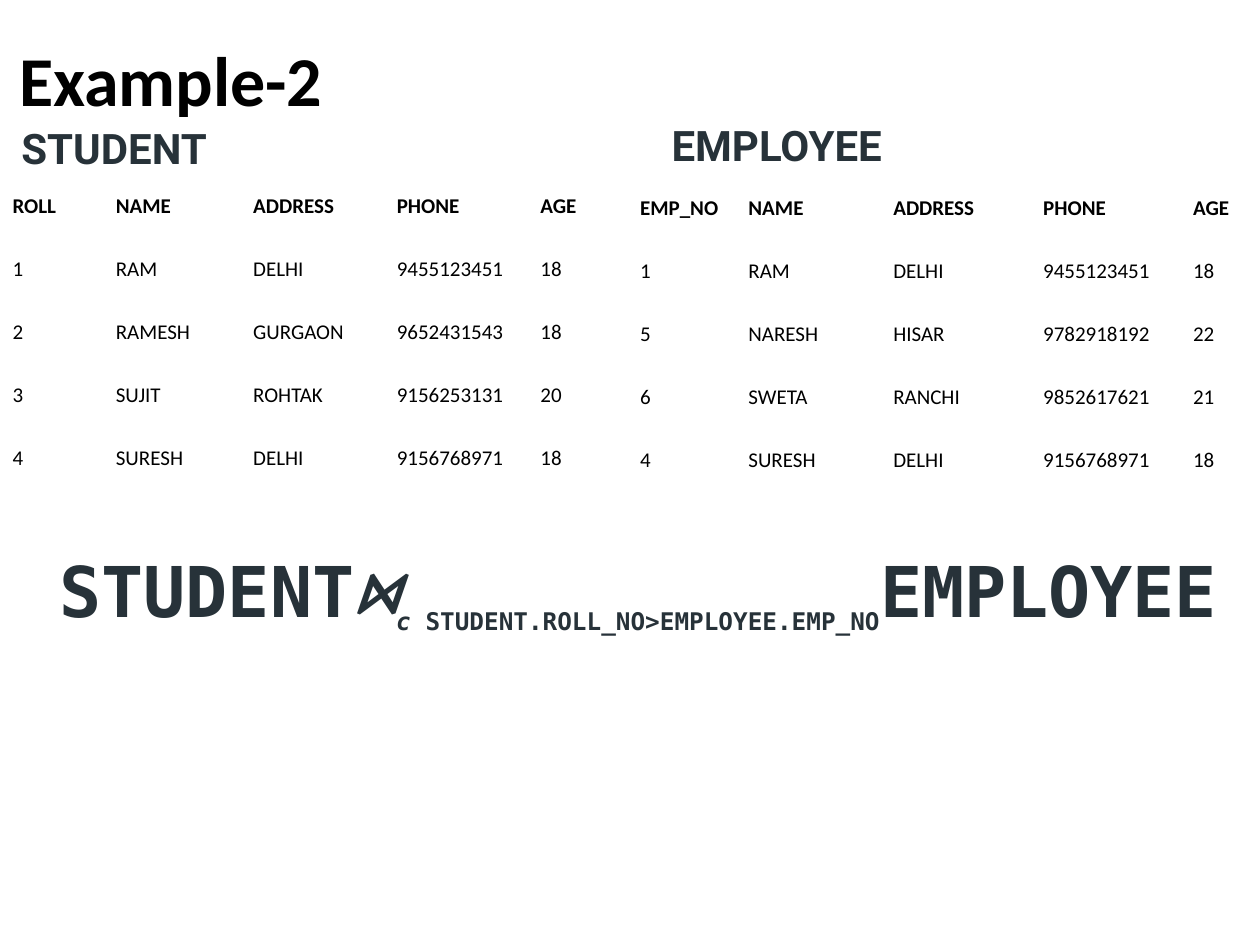
from pptx import Presentation
from pptx.dml.color import RGBColor
from pptx.enum.shapes import MSO_SHAPE
from pptx.enum.text import MSO_ANCHOR, PP_ALIGN
from pptx.util import Inches, Pt

BLACK, SLATE, WHITE = "000000", "273239", "FFFFFF"
ROW_HEIGHT = 0.5

# name, heading box, heading anchor, table corner, column widths, rows
RELATIONS = [
    ("STUDENT", (0.17, 0.97, 1.89, 0.4), MSO_ANCHOR.MIDDLE, (0, 1.39),
     (0.82, 1.09, 1.14, 1.14, 0.57), [
        ("ROLL", "NAME", "ADDRESS", "PHONE", "AGE"),
        ("1", "RAM", "DELHI", "9455123451", "18"),
        ("2", "RAMESH", "GURGAON", "9652431543", "18"),
        ("3", "SUJIT", "ROHTAK", "9156253131", "20"),
        ("4", "SURESH", "DELHI", "9156768971", "18"),
    ]),
    ("EMPLOYEE", (5.33, 0.95, 2.58, 0.6), MSO_ANCHOR.TOP, (4.98, 1.4),
     (0.86, 1.15, 1.19, 1.19, 0.6), [
        ("EMP_NO", "NAME", "ADDRESS", "PHONE", "AGE"),
        ("1", "RAM", "DELHI", "9455123451", "18"),
        ("5", "NARESH", "HISAR", "9782918192", "22"),
        ("6", "SWETA", "RANCHI", "9852617621", "21"),
        ("4", "SURESH", "DELHI", "9156768971", "18"),
    ]),
]

# text, size, italic, subscript
JOIN_EXPRESSION = [
    ("STUDENT", 40, False, False),
    ("⋈", 40, True, False),
    ("c ", 24, True, True),
    ("STUDENT.ROLL_NO>EMPLOYEE.EMP_NO", 24, False, True),
    ("EMPLOYEE", 40, False, False),
]


def color(value):
    return RGBColor.from_string(value)


def set_font(font, name, size, value, bold=True):
    font.name, font.size, font.bold = name, Pt(size), bold
    font.color.rgb = color(value)


def fill_white(item):
    item.fill.solid()
    item.fill.fore_color.rgb = color(WHITE)


def remove_margins(frame):
    frame.margin_left = frame.margin_right = 0
    frame.margin_top = frame.margin_bottom = 0


def add_centred_box(page, place, wrap):
    """Add a text box and return its frame and its centred paragraph."""
    frame = page.shapes.add_textbox(*map(Inches, place)).text_frame
    frame.word_wrap = wrap
    frame.vertical_anchor = MSO_ANCHOR.MIDDLE
    para = frame.paragraphs[0]
    para.alignment = PP_ALIGN.CENTER
    return frame, para


def add_relation_table(page, corner, widths, rows):
    size = (sum(widths), ROW_HEIGHT * len(rows))
    table = page.shapes.add_table(
        len(rows), len(widths), *map(Inches, corner + size)).table
    for column, width in zip(table.columns, widths):
        column.width = Inches(width)
    for row_index, values in enumerate(rows):
        for column_index, value in enumerate(values):
            cell = table.cell(row_index, column_index)
            fill_white(cell)
            cell.vertical_anchor = MSO_ANCHOR.MIDDLE
            para = cell.text_frame.paragraphs[0]
            para.text = value
            set_font(para.font, "Calibri", 12, BLACK, bold=row_index == 0)


def add_heading(page, name, place, anchor):
    box = page.shapes.add_shape(MSO_SHAPE.RECTANGLE, *map(Inches, place))
    box.shadow.inherit = False
    fill_white(box)
    box.line.fill.background()
    frame = box.text_frame
    remove_margins(frame)
    frame.vertical_anchor = anchor
    para = frame.paragraphs[0]
    para.text = name
    para.alignment = PP_ALIGN.LEFT
    set_font(para.font, "Roboto", 24, SLATE)


def add_join_expression(page):
    frame, para = add_centred_box(page, (0.47, 4.35, 9.19, 0.69), wrap=False)
    remove_margins(frame)
    for text, size, italic, subscript in JOIN_EXPRESSION:
        span = para.add_run()
        span.text = text
        set_font(span.font, "DejaVu Sans Mono", size, SLATE)
        span.font.italic = italic
        if subscript:
            span.font._element.set("baseline", "-30000")
    space = para.add_run()
    space.text = " "
    set_font(space.font, "Arial", 20, BLACK, bold=False)


def main():
    deck = Presentation()
    deck.slide_width, deck.slide_height = Inches(10), Inches(7.5)
    page = deck.slides.add_slide(deck.slide_layouts[6])

    _, title = add_centred_box(page, (-0.02, 0, 2.75, 1.25), wrap=True)
    title.text = "Example-2"
    set_font(title.font, "Calibri", 40, BLACK)

    for name, place, anchor, corner, widths, rows in RELATIONS:
        add_relation_table(page, corner, widths, rows)
        add_heading(page, name, place, anchor)
    add_join_expression(page)
    deck.save("out.pptx")


if __name__ == "__main__":
    main()
